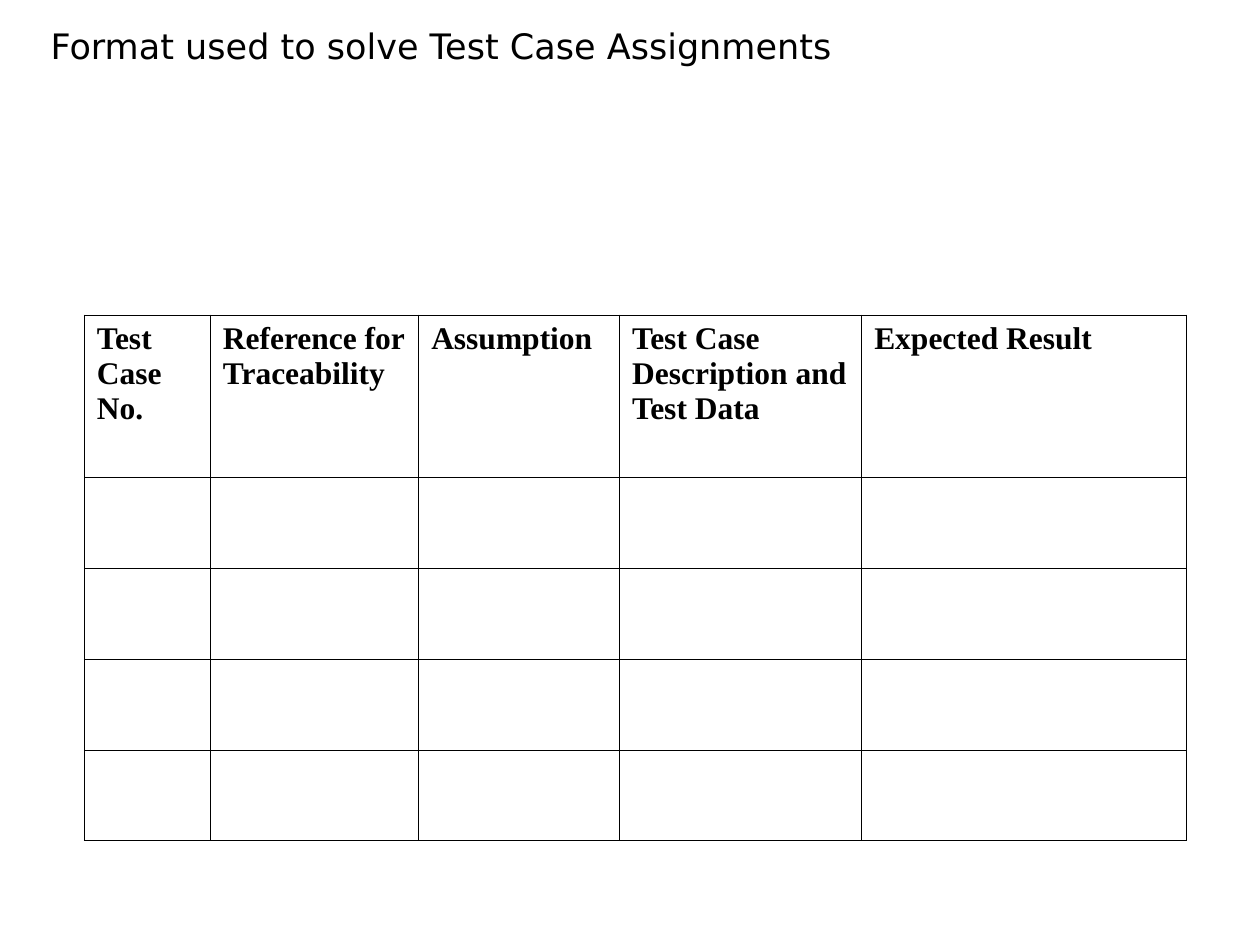
"""Builds a slide with the blank table format for test case assignments."""
import pptx
import pptx.dml.color
import pptx.enum.text
import pptx.oxml
import pptx.oxml.ns
import pptx.util
from pptx.util import Cm

COLORS = {"text": "000000", "border": "000000"}
HEADINGS = [
    "Test Case No.",
    "Reference for Traceability",
    "Assumption",
    "Test Case Description and Test Data",
    "Expected Result",
]
COLUMN_WIDTHS = [2.54, 4.2, 4.05, 4.88, 6.55]
ROW_HEIGHTS = [3.28] + [1.83] * 4
TITLE_FONT = {"name": "DejaVu Sans", "size": pptx.util.Pt(20), "bold": False}
HEADING_FONT = {"name": "Times New Roman", "size": pptx.util.Pt(18), "bold": True}


def write_text(text_frame, text, font_format):
    text_frame.text = text
    paragraph = text_frame.paragraphs[0]
    paragraph.alignment = pptx.enum.text.PP_ALIGN.LEFT
    font = paragraph.runs[0].font
    for name, value in font_format.items():
        setattr(font, name, value)
    font.color.rgb = pptx.dml.color.RGBColor.from_string(COLORS["text"])


def add_borders(cell):
    properties = cell._tc.get_or_add_tcPr()
    for side in ("lnL", "lnR", "lnT", "lnB"):
        properties.append(pptx.oxml.parse_xml(
            f'<a:{side} {pptx.oxml.ns.nsdecls("a")} w="{pptx.util.Pt(0.45)}">'
            f'<a:solidFill><a:srgbClr val="{COLORS["border"]}"/></a:solidFill>'
            f'</a:{side}>'
        ))


presentation = pptx.Presentation()
presentation.slide_width = Cm(25.4)
presentation.slide_height = Cm(19.05)
slide = presentation.slides.add_slide(presentation.slide_layouts[5])

title = slide.shapes.title
title_place = {"left": Cm(0), "top": Cm(0), "width": Cm(22.86), "height": Cm(1.47)}
for name, value in title_place.items():
    setattr(title, name, value)
title_frame_format = {
    "margin_left": Cm(1.02),
    "margin_right": Cm(0.25),
    "margin_top": Cm(0.13),
    "margin_bottom": Cm(0.13),
    "vertical_anchor": pptx.enum.text.MSO_ANCHOR.BOTTOM,
    "auto_size": pptx.enum.text.MSO_AUTO_SIZE.NONE,
    "word_wrap": True,
}
for name, value in title_frame_format.items():
    setattr(title.text_frame, name, value)
write_text(title.text_frame, "Format used to solve Test Case Assignments", TITLE_FONT)

table = slide.shapes.add_table(
    len(ROW_HEIGHTS), len(COLUMN_WIDTHS), Cm(1.7), Cm(6.35),
    Cm(sum(COLUMN_WIDTHS)), Cm(sum(ROW_HEIGHTS)),
).table
table.first_row = False
table.horz_banding = False
for column, width in zip(table.columns, COLUMN_WIDTHS):
    column.width = Cm(width)
for row, height in zip(table.rows, ROW_HEIGHTS):
    row.height = Cm(height)
for cell in table.iter_cells():
    add_borders(cell)
    cell.fill.background()
for cell, heading in zip(table.rows[0].cells, HEADINGS):
    write_text(cell.text_frame, heading, HEADING_FONT)

presentation.save("out.pptx")
